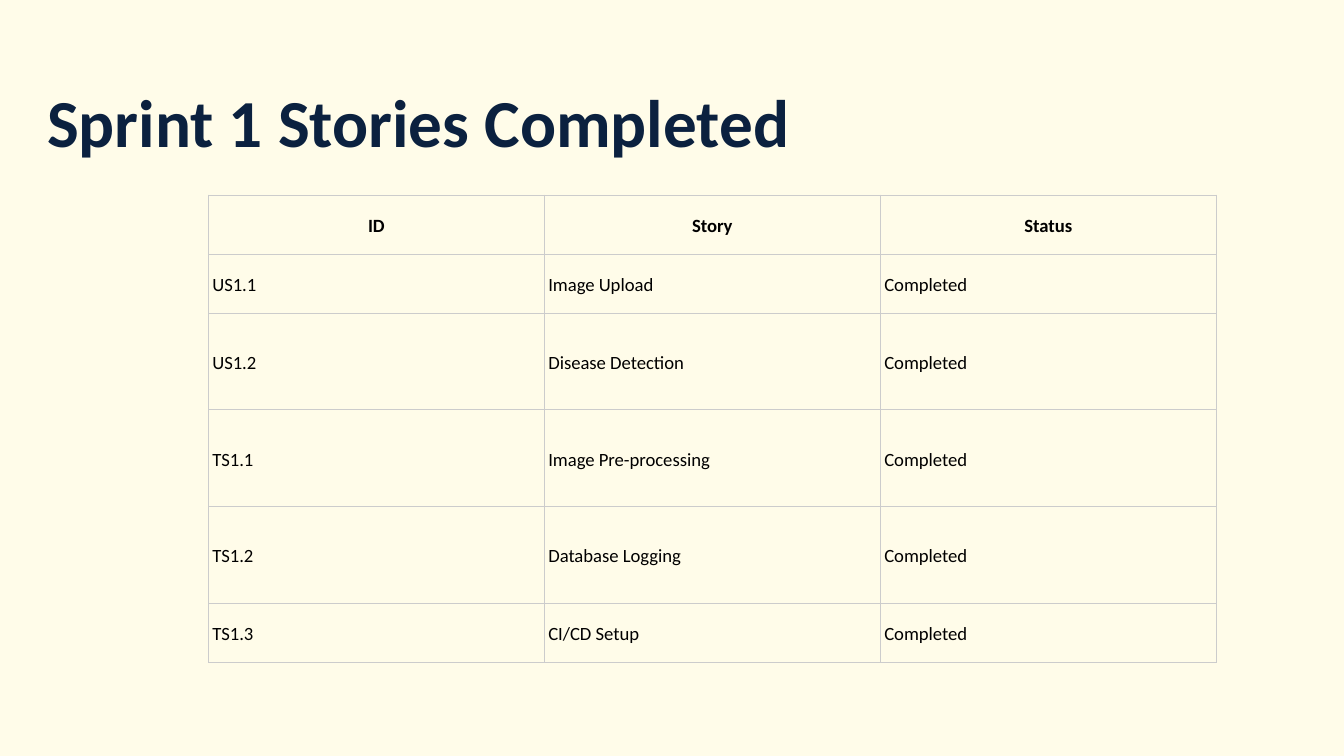
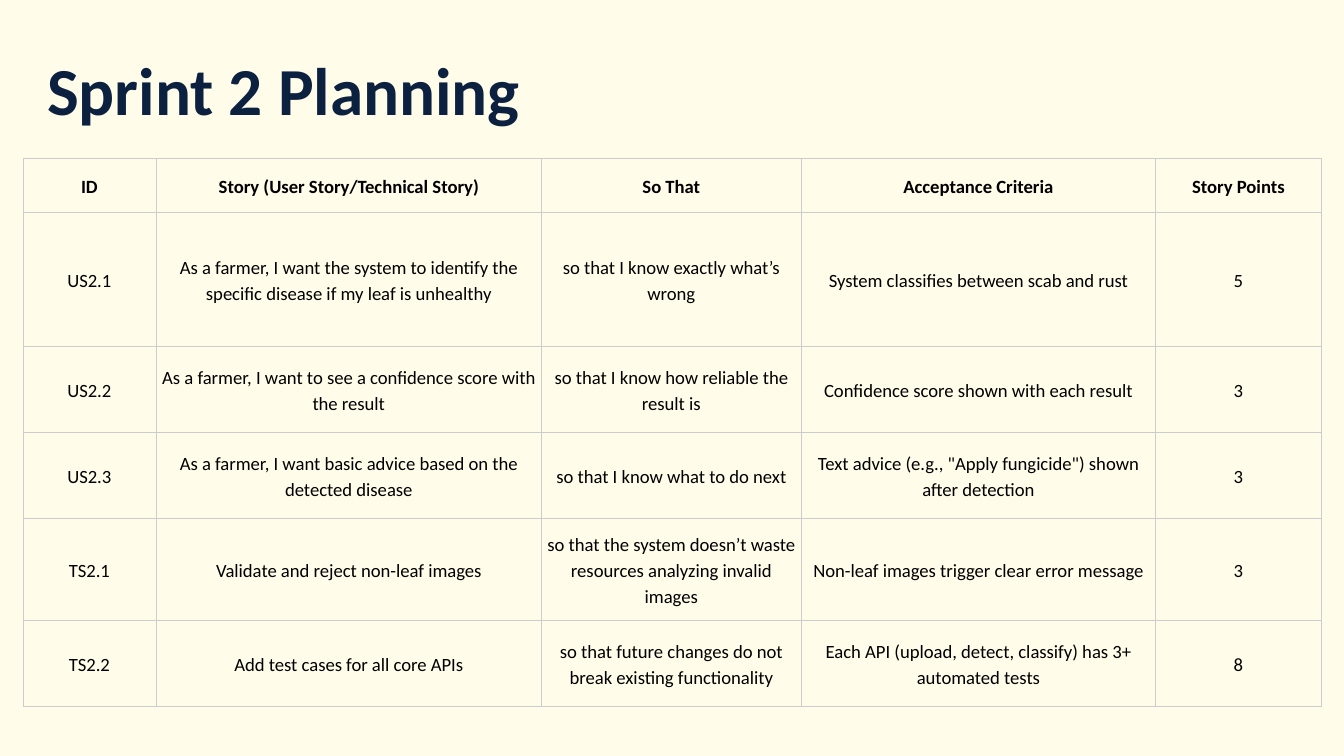
from dataclasses import dataclass

from lxml.etree import SubElement
from pptx import Presentation
from pptx.dml.color import RGBColor
from pptx.enum.text import MSO_ANCHOR as Anchor, MSO_AUTO_SIZE as AutoSize, PP_ALIGN as Align
from pptx.oxml.ns import qn
from pptx.util import Inches, Pt

FONT = "Calibri"
CREAM, NAVY, BLACK, GRID = "FFFCE9", "0B213F", "000000", "CCCCCC"
GRID_WIDTH = Pt(0.42)
SLIDE_WIDTH = Inches(10)
SLIDE_HEIGHT = SLIDE_WIDTH * 9 // 16


@dataclass(frozen=True)
class StoryTable:
    """A titled slide with one table of sprint stories."""
    title: str
    title_top: float
    left: float
    top: float
    widths: tuple[float, ...]
    heights: tuple[float, ...]
    header: tuple[str, ...]
    stories: tuple[tuple[str, ...], ...]
    body_align: Align


SPRINTS = (
    StoryTable(
        title="Sprint 1 Stories Completed", title_top=0.5,
        left=1.55, top=1.45,
        widths=(2.5,) * 3,
        heights=(0.44, 0.44, 0.72, 0.72, 0.72, 0.44),
        header=("ID", "Story", "Status"),
        stories=tuple((story_id, story, "Completed") for story_id, story in (
            ("US1.1", "Image Upload"),
            ("US1.2", "Disease Detection"),
            ("TS1.1", "Image Pre-processing"),
            ("TS1.2", "Database Logging"),
            ("TS1.3", "CI/CD Setup"),
        )),
        body_align=Align.LEFT,
    ),
    StoryTable(
        title="Sprint 2 Planning", title_top=0.26,
        left=0.17, top=1.18,
        widths=(0.99, 2.87, 1.93, 2.64, 1.23),
        heights=(0.4, 1, 0.64, 0.64, 0.76, 0.64),
        header=("ID", "Story (User Story/Technical Story)", "So That",
                "Acceptance Criteria", "Story Points"),
        stories=(
            ("US2.1",
             "As a farmer, I want the system to identify the specific disease if my leaf is unhealthy",
             "so that I know exactly what’s wrong",
             "System classifies between scab and rust", "5"),
            ("US2.2",
             "As a farmer, I want to see a confidence score with the result",
             "so that I know how reliable the result is",
             "Confidence score shown with each result", "3"),
            ("US2.3",
             "As a farmer, I want basic advice based on the detected disease",
             "so that I know what to do next",
             'Text advice (e.g., "Apply fungicide") shown after detection', "3"),
            ("TS2.1",
             "Validate and reject non-leaf images",
             "so that the system doesn’t waste resources analyzing invalid images",
             "Non-leaf images trigger clear error message", "3"),
            ("TS2.2",
             "Add test cases for all core APIs",
             "so that future changes do not break existing functionality",
             "Each API (upload, detect, classify) has 3+ automated tests", "8"),
        ),
        body_align=Align.CENTER,
    ),
)


def rgb(value: str) -> RGBColor:
    return RGBColor.from_string(value)


def write(frame, text: str, *, size: float = 10, color: str = BLACK, bold: bool = False,
          align: Align = Align.LEFT, spacing: float = 1.0) -> None:
    paragraph = frame.paragraphs[0]
    paragraph.alignment = align
    paragraph.line_spacing = spacing
    run = paragraph.add_run()
    run.text = text
    run.font.name = FONT
    run.font.size = Pt(size)
    run.font.bold = bold
    run.font.color.rgb = rgb(color)


def add_borders(cell) -> None:
    properties = cell._tc.get_or_add_tcPr()
    for position, side in enumerate(("lnL", "lnR", "lnT", "lnB")):
        line = SubElement(properties, qn(f"a:{side}"), w=str(GRID_WIDTH))
        fill = SubElement(line, qn("a:solidFill"))
        SubElement(fill, qn("a:srgbClr"), val=GRID)
        properties.insert(position, line)


def place_title(slide, sprint: StoryTable) -> None:
    title = slide.shapes.title
    title.left, title.top = Inches(0.25), Inches(sprint.title_top)
    title.width, title.height = Inches(9.16), Inches(0.48)
    frame = title.text_frame
    frame.word_wrap = True
    frame.auto_size = AutoSize.NONE
    frame.vertical_anchor = Anchor.TOP
    frame.margin_left = frame.margin_right = Inches(0.1)
    frame.margin_top = frame.margin_bottom = Inches(0.1)
    write(frame, sprint.title, size=36, color=NAVY, bold=True)


def place_table(slide, sprint: StoryTable) -> None:
    rows = (sprint.header, *sprint.stories)
    table = slide.shapes.add_table(
        len(rows), len(sprint.header), Inches(sprint.left), Inches(sprint.top),
        Inches(sum(sprint.widths)), Inches(sum(sprint.heights))).table
    table.horz_banding = False
    for column, width in zip(table.columns, sprint.widths):
        column.width = Inches(width)
    for row_index, (height, texts) in enumerate(zip(sprint.heights, rows)):
        table.rows[row_index].height = Inches(height)
        is_header = row_index == 0
        for column_index, text in enumerate(texts):
            cell = table.cell(row_index, column_index)
            cell.fill.background()
            cell.vertical_anchor = Anchor.MIDDLE
            cell.margin_left = cell.margin_right = Inches(0.03)
            cell.margin_top = cell.margin_bottom = Inches(0.02)
            add_borders(cell)
            write(cell.text_frame, text, bold=is_header, spacing=1.15,
                  align=Align.CENTER if is_header else sprint.body_align)


def main() -> None:
    """Build the sprint review slides."""
    deck = Presentation()
    deck.slide_width, deck.slide_height = SLIDE_WIDTH, SLIDE_HEIGHT
    background = deck.slide_master.background.fill
    background.solid()
    background.fore_color.rgb = rgb(CREAM)
    title_only = deck.slide_layouts[5]
    for sprint in SPRINTS:
        slide = deck.slides.add_slide(title_only)
        place_title(slide, sprint)
        place_table(slide, sprint)
    deck.save("out.pptx")


if __name__ == "__main__":
    main()
